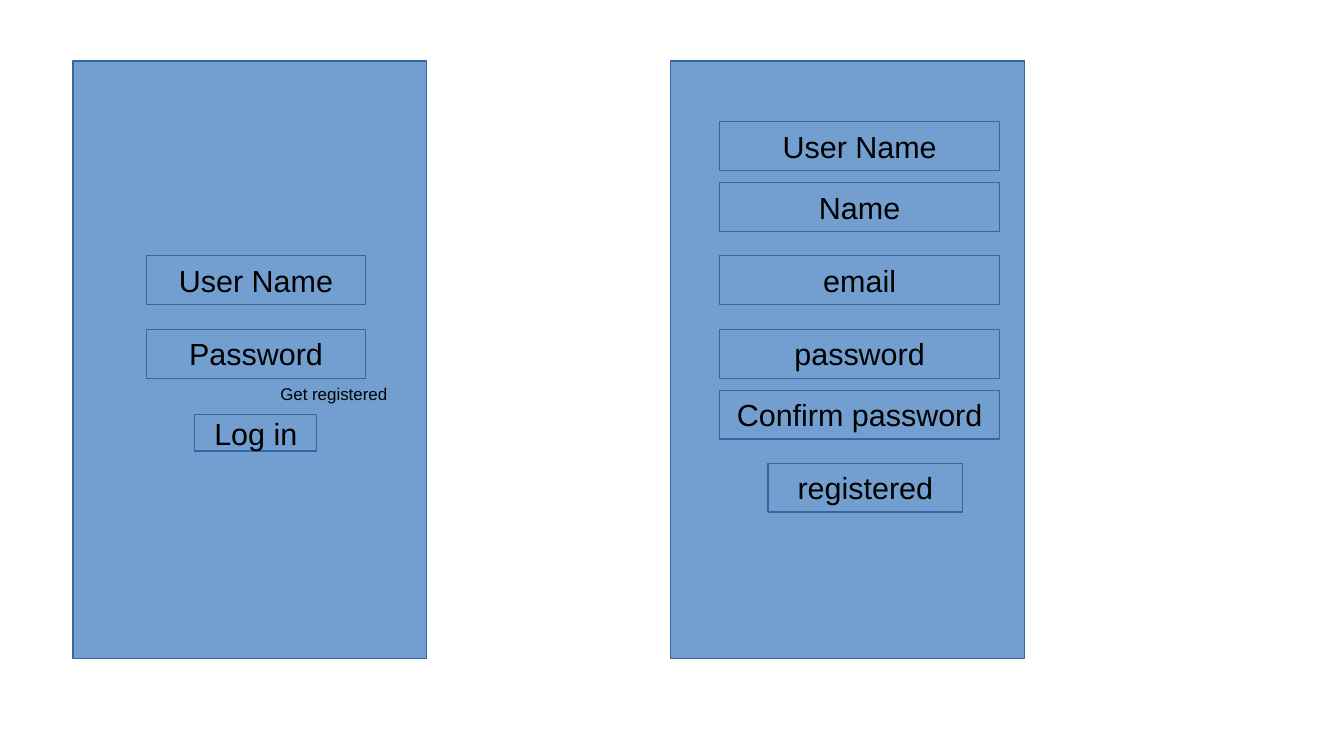
from dataclasses import dataclass

from pptx import Presentation
from pptx.dml.color import RGBColor
from pptx.enum.shapes import MSO_SHAPE
from pptx.enum.text import MSO_ANCHOR, MSO_AUTO_SIZE, PP_ALIGN
from pptx.slide import Slide
from pptx.text.text import TextFrame
from pptx.util import Cm, Pt


@dataclass(frozen=True)
class Theme:
    fill: RGBColor = RGBColor(0x72, 0x9F, 0xCF)
    edge: RGBColor = RGBColor(0x34, 0x65, 0xA4)
    ink: RGBColor = RGBColor(0, 0, 0)
    font: str = "Arial"
    large: Pt = Pt(18)
    small: Pt = Pt(10)


@dataclass(frozen=True)
class Box:
    left: float
    top: float
    width: float
    height: float
    text: str = ""

    def place(self) -> tuple[Cm, Cm, Cm, Cm]:
        return Cm(self.left), Cm(self.top), Cm(self.width), Cm(self.height)


THEME = Theme()


def write(frame: TextFrame, text: str, size: Pt, align: PP_ALIGN) -> None:
    frame.margin_left = frame.margin_right = Cm(0.25)
    frame.margin_top = frame.margin_bottom = Cm(0.13)
    line = frame.paragraphs[0]
    line.alignment = align
    run = line.add_run()
    run.text = text
    run.font.name = THEME.font
    run.font.size = size
    run.font.color.rgb = THEME.ink


def draw_box(slide: Slide, box: Box) -> None:
    shape = slide.shapes.add_shape(MSO_SHAPE.RECTANGLE, *box.place())
    shape.shadow.inherit = False
    shape.fill.solid()
    shape.fill.fore_color.rgb = THEME.fill
    shape.line.color.rgb = THEME.edge
    shape.line.width = Pt(0)
    if box.text:
        frame = shape.text_frame
        frame.word_wrap = False
        frame.vertical_anchor = MSO_ANCHOR.MIDDLE
        write(frame, box.text, THEME.large, PP_ALIGN.CENTER)


def draw_link(slide: Slide, box: Box) -> None:
    frame = slide.shapes.add_textbox(*box.place()).text_frame
    frame.word_wrap = True
    frame.auto_size = MSO_AUTO_SIZE.SHAPE_TO_FIT_TEXT
    write(frame, box.text, THEME.small, PP_ALIGN.LEFT)


def draw_panel(slide: Slide, left: float) -> None:
    draw_box(slide, Box(left, 1.27, 7.37, 12.45))


def draw_fields(slide: Slide, left: float, width: float,
                rows: dict[str, float]) -> None:
    for text, top in rows.items():
        draw_box(slide, Box(left, top, width, 1.02, text))


deck = Presentation()
deck.slide_width, deck.slide_height = Cm(28), Cm(15.75)
slide = deck.slides.add_slide(deck.slide_layouts[6])

draw_panel(slide, 1.52)
draw_fields(slide, 3.05, 4.57, {"User Name": 5.33, "Password": 6.86})
draw_box(slide, Box(4.06, 8.64, 2.54, 0.76, "Log in"))
draw_link(slide, Box(5.59, 7.87, 3.05, 2.39, "Get registered"))

draw_panel(slide, 13.97)
draw_fields(slide, 14.99, 5.84, {
    "User Name": 2.54,
    "Name": 3.81,
    "email": 5.33,
    "password": 6.86,
    "Confirm password": 8.13,
})
draw_fields(slide, 16, 4.06, {"registered": 9.65})

deck.save("out.pptx")
